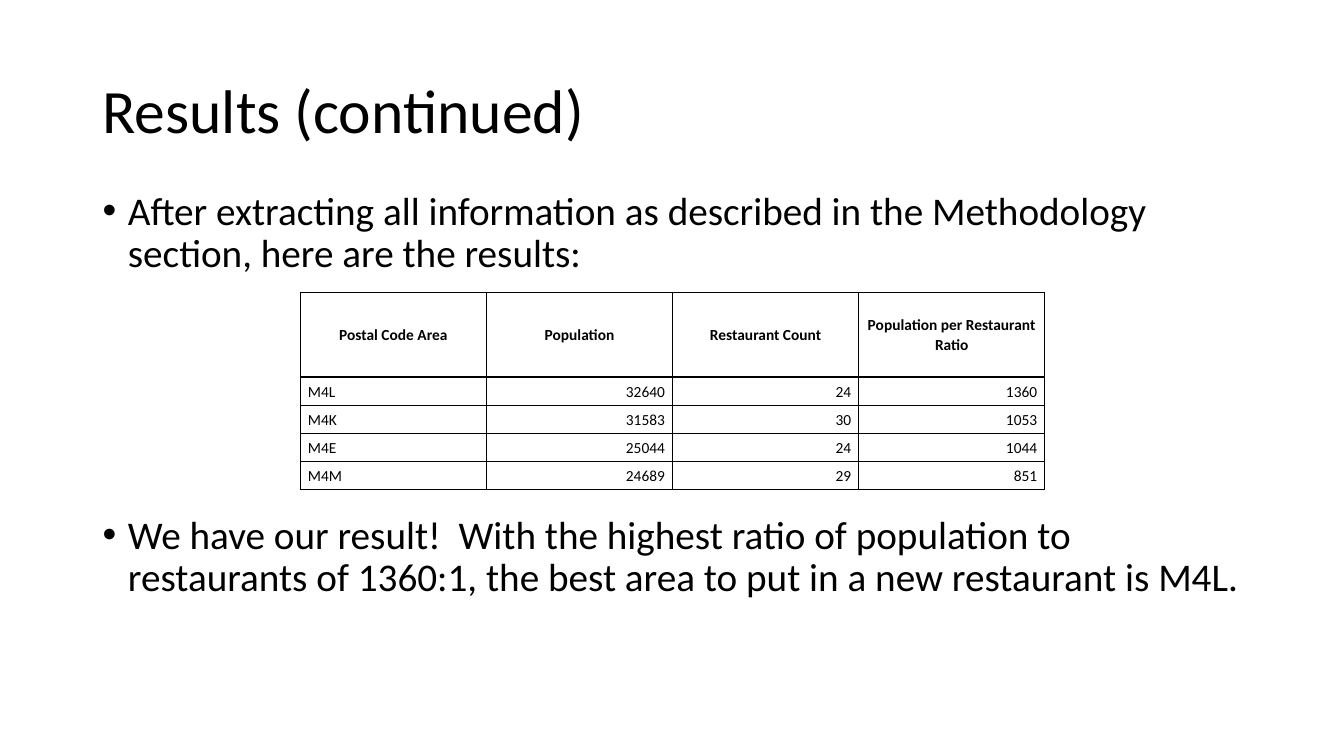
"""Build the results slide with its bullets and restaurant ratio table."""
from dataclasses import dataclass

from lxml import etree
from pptx import Presentation
from pptx.dml.color import RGBColor
from pptx.enum.text import MSO_ANCHOR, MSO_AUTO_SIZE, PP_ALIGN
from pptx.oxml.ns import qn
from pptx.util import Cm, Pt

LEFT, CENTER, RIGHT = PP_ALIGN.LEFT, PP_ALIGN.CENTER, PP_ALIGN.RIGHT
MIDDLE, TOP = MSO_ANCHOR.MIDDLE, MSO_ANCHOR.TOP
NO_AUTOFIT = MSO_AUTO_SIZE.NONE
FONT = "Calibri"
BLACK, WHITE = "000000", "FFFFFF"
COLUMN_WIDTH, HEADER_HEIGHT, ROW_HEIGHT = 4.69, 2.13, 0.71


@dataclass(frozen=True)
class Box:
    """Position and size in centimetres."""

    left: float
    top: float
    width: float
    height: float


@dataclass(frozen=True)
class Bullet:
    """A bullet's text and the space above it in points."""

    text: str
    space_before: float


@dataclass(frozen=True)
class AreaResult:
    """One postal code area's figures."""

    area: str
    population: int
    restaurants: int
    ratio: int


TITLE_BOX = Box(2.33, 1.01, 29.21, 3.68)
BODY_BOX = Box(2.33, 4.69, 29.21, 12.47)
BULLETS = [
    Bullet("After extracting all information as described in the Methodology "
           "section, here are the results:", 10),
    Bullet("We have our result!  With the highest ratio of population to "
           "restaurants of 1360:1, the best area to put in a new restaurant is M4L.", 171),
]
HEADERS = ["Postal Code Area", "Population", "Restaurant Count",
           "Population per Restaurant Ratio"]
RESULTS = [
    AreaResult("M4L", 32640, 24, 1360),
    AreaResult("M4K", 31583, 30, 1053),
    AreaResult("M4E", 25044, 24, 1044),
    AreaResult("M4M", 24689, 29, 851),
]


def color(value: str) -> RGBColor:
    """Turn a hex string into a colour."""
    return RGBColor.from_string(value)


def format_paragraph(paragraph, size: float, alignment, line_spacing: float,
                     bold: bool = False) -> None:
    """Set a paragraph's font, alignment and line spacing."""
    paragraph.alignment = alignment
    paragraph.line_spacing = line_spacing
    paragraph.font.name = FONT
    paragraph.font.size = Pt(size)
    paragraph.font.bold = bold
    paragraph.font.color.rgb = color(BLACK)


def place(shape, box: Box, anchor) -> None:
    """Move a placeholder and fix its text settings."""
    shape.left, shape.top = Cm(box.left), Cm(box.top)
    shape.width, shape.height = Cm(box.width), Cm(box.height)
    shape.text_frame.auto_size = NO_AUTOFIT
    shape.text_frame.word_wrap = True
    shape.text_frame.vertical_anchor = anchor


def add_title(slide, text: str) -> None:
    """Fill the title placeholder."""
    title = slide.shapes.title
    place(title, TITLE_BOX, MIDDLE)
    title.text_frame.text = text
    format_paragraph(title.text_frame.paragraphs[0], 44, LEFT, 0.9)


def add_bullets(slide, bullets: list[Bullet]) -> None:
    """Fill the body placeholder with bullets."""
    body = slide.placeholders[1]
    place(body, BODY_BOX, TOP)
    body.text_frame.text = "\n".join(bullet.text for bullet in bullets)
    for paragraph, bullet in zip(body.text_frame.paragraphs, bullets):
        format_paragraph(paragraph, 28, LEFT, 0.9)
        paragraph.space_before = Pt(bullet.space_before)
        properties = paragraph._p.get_or_add_pPr()
        properties.set("marL", str(Cm(0.64)))
        properties.set("indent", str(-Cm(0.64)))


def add_borders(cell) -> None:
    """Draw a thin black line on each side of a cell."""
    properties = cell._tc.get_or_add_tcPr()
    for index, side in enumerate(("a:lnL", "a:lnR", "a:lnT", "a:lnB")):
        line = etree.Element(qn(side), w=str(Pt(1)))
        fill = etree.SubElement(line, qn("a:solidFill"))
        etree.SubElement(fill, qn("a:srgbClr"), val=BLACK)
        properties.insert(index, line)


def fill_cell(cell, text: str, alignment, bold: bool) -> None:
    """Write and format one table cell."""
    cell.text = text
    cell.vertical_anchor = MIDDLE
    cell.margin_left = cell.margin_right = Cm(0.19)
    cell.margin_top = cell.margin_bottom = 0
    cell.fill.solid()
    cell.fill.fore_color.rgb = color(WHITE)
    format_paragraph(cell.text_frame.paragraphs[0], 11, alignment, 1.07, bold)
    add_borders(cell)


def add_results_table(slide, results: list[AreaResult]) -> None:
    """Add the table of population and restaurants by area."""
    rows = [HEADERS] + [
        [result.area, str(result.population), str(result.restaurants), str(result.ratio)]
        for result in results
    ]
    table = slide.shapes.add_table(
        len(rows), len(HEADERS), Cm(7.57), Cm(7.37), Cm(COLUMN_WIDTH * len(HEADERS)),
        Cm(HEADER_HEIGHT + ROW_HEIGHT * len(results))).table
    table.horz_banding = False
    for column in table.columns:
        column.width = Cm(COLUMN_WIDTH)
    for row_index, values in enumerate(rows):
        is_header = row_index == 0
        table.rows[row_index].height = Cm(HEADER_HEIGHT if is_header else ROW_HEIGHT)
        for column_index, text in enumerate(values):
            value_alignment = LEFT if column_index == 0 else RIGHT
            fill_cell(table.cell(row_index, column_index), text,
                      CENTER if is_header else value_alignment, is_header)


def main() -> None:
    """Build and save the presentation."""
    presentation = Presentation()
    presentation.slide_width, presentation.slide_height = Cm(33.87), Cm(19.05)
    slide = presentation.slides.add_slide(presentation.slide_layouts[1])
    add_title(slide, "Results (continued)")
    add_bullets(slide, BULLETS)
    add_results_table(slide, RESULTS)
    presentation.save("out.pptx")


if __name__ == "__main__":
    main()
